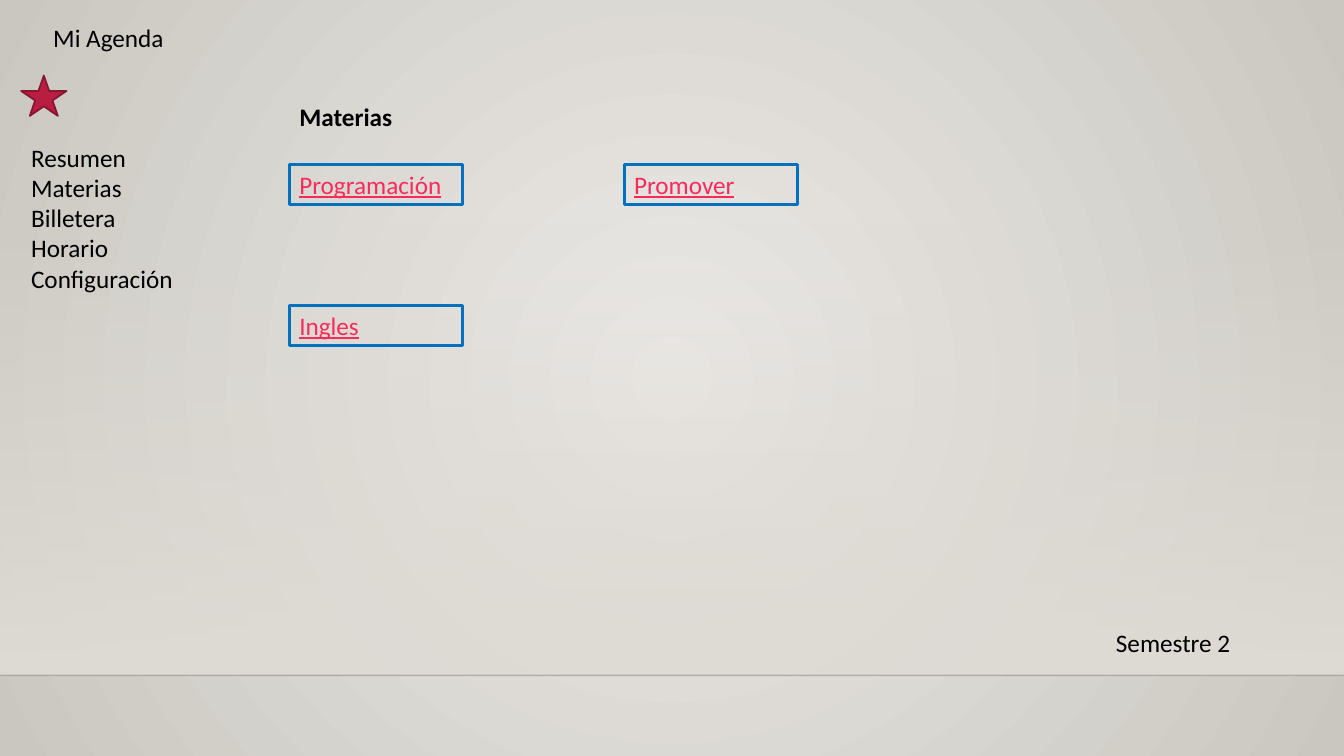
from lxml.etree import SubElement
from pptx import Presentation
from pptx.dml.color import RGBColor
from pptx.enum.dml import MSO_FILL
from pptx.enum.shapes import MSO_CONNECTOR, MSO_SHAPE
from pptx.enum.text import MSO_ANCHOR, MSO_AUTO_SIZE, PP_ALIGN
from pptx.oxml.ns import qn
from pptx.util import Inches, Pt

BLACK = RGBColor(0x00, 0x00, 0x00)
PINK = RGBColor(0xFA, 0x2B, 0x5C)
BLUE = RGBColor(0x00, 0x70, 0xC0)
CRIMSON = RGBColor(0xB7, 0x1E, 0x42)
DARK_CRIMSON = RGBColor(0x87, 0x16, 0x31)
BACK_LIGHT = RGBColor(0xEC, 0xEA, 0xE7)
BACK_DARK = RGBColor(0xCA, 0xC7, 0xC1)
WALL = RGBColor(0xDF, 0xDB, 0xD5)
FLOOR_LINE = RGBColor(0x00, 0x00, 0x01)

PAGE_WIDTH = 13.33
FLOOR_TOP = 6.7
LINE_HEIGHT = 0.4
MENU = ["Resumen", "Materias", "Billetera", "Horario", "Configuración"]
SUBJECTS = [("Programación", 0, 0), ("Promover", 1, 0), ("Ingles", 0, 1)]


def set_opacity(color_element, percent):
    SubElement(color_element, qn("a:alpha")).set("val", str(percent * 1000))


def fill_gradient(fill, start, end):
    fill.gradient()
    for stop, color in zip(fill.gradient_stops, (start, end)):
        stop.color.rgb = color


def paint_background(page):
    fill_gradient(page.background.fill, BACK_LIGHT, BACK_DARK)
    gradient = next(page.element.iter(qn("a:gradFill")))
    gradient.remove(gradient.find(qn("a:lin")))
    circle = SubElement(gradient, qn("a:path"))
    circle.set("path", "circle")
    center = SubElement(circle, qn("a:fillToRect"))
    for side in "ltrb":
        center.set(side, "50000")


def add_figure(page, preset, left, top, width, height):
    figure = page.shapes.add_shape(
        preset, Inches(left), Inches(top), Inches(width), Inches(height))
    figure.shadow.inherit = False
    return figure


def add_wall(page):
    top = 2.21
    wall = add_figure(page, MSO_SHAPE.RECTANGLE, 0, top, PAGE_WIDTH, FLOOR_TOP - top)
    fill_gradient(wall.fill, WALL, WALL)
    wall.fill.gradient_angle = 270
    set_opacity(next(wall.element.spPr.iter(qn("a:srgbClr"))), 0)
    wall.line.fill.background()


def add_floor_line(page):
    floor = page.shapes.add_connector(
        MSO_CONNECTOR.STRAIGHT, Inches(0), Inches(FLOOR_TOP),
        Inches(PAGE_WIDTH), Inches(FLOOR_TOP))
    floor.line.width = Pt(1)
    floor.line.color.rgb = FLOOR_LINE
    properties = floor.element.spPr
    set_opacity(next(properties.iter(qn("a:srgbClr"))), 20)
    SubElement(properties, qn("a:effectLst"))


def write(box, text, color=BLACK, bold=None, underline=None):
    frame = box.text_frame
    frame.text = text
    frame.word_wrap = True
    frame.auto_size = MSO_AUTO_SIZE.SHAPE_TO_FIT_TEXT
    frame.vertical_anchor = MSO_ANCHOR.TOP
    for para in frame.paragraphs:
        para.alignment = PP_ALIGN.LEFT
        for span in para.runs:
            span.font.name = "Calibri"
            span.font.size = Pt(18)
            span.font.color.rgb = color
            span.font.bold = bold
            span.font.underline = underline


def add_label(page, text, left, top, width, height=LINE_HEIGHT, bold=None):
    box = page.shapes.add_textbox(
        Inches(left), Inches(top), Inches(width), Inches(height))
    write(box, text, bold=bold)


def add_subject(page, name, column, row):
    box = add_figure(page, MSO_SHAPE.RECTANGLE,
                     2.87 + column * 3.32, 1.63 + row * 1.4, 1.72, LINE_HEIGHT)
    box.fill.background()
    box.line.color.rgb = BLUE
    box.line.width = Pt(2.25)
    write(box, name, PINK, underline=True)


def add_star(page):
    star = add_figure(page, MSO_SHAPE.STAR_5_POINT, 0.21, 0.75, 0.45, 0.4)
    star.fill.solid()
    star.fill.fore_color.rgb = CRIMSON
    star.line.color.rgb = DARK_CRIMSON
    star.line.width = Pt(1.25)


def main():
    deck = Presentation()
    deck.slide_width, deck.slide_height = Inches(PAGE_WIDTH), Inches(7.5)
    page = deck.slides.add_slide(deck.slide_layouts[6])
    paint_background(page)
    add_wall(page)
    add_floor_line(page)
    add_label(page, "Mi Agenda", 0.43, 0.17, 12.46)
    add_label(page, "Materias", 2.87, 0.96, 1.91, bold=True)
    for name, column, row in SUBJECTS:
        add_subject(page, name, column, row)
    add_label(page, "Semestre 2", 10.97, 6.17, 2.5)
    add_star(page)
    add_label(page, "\n".join(MENU), 0.21, 1.36, 2.42, 1.62)
    deck.save("out.pptx")


main()
